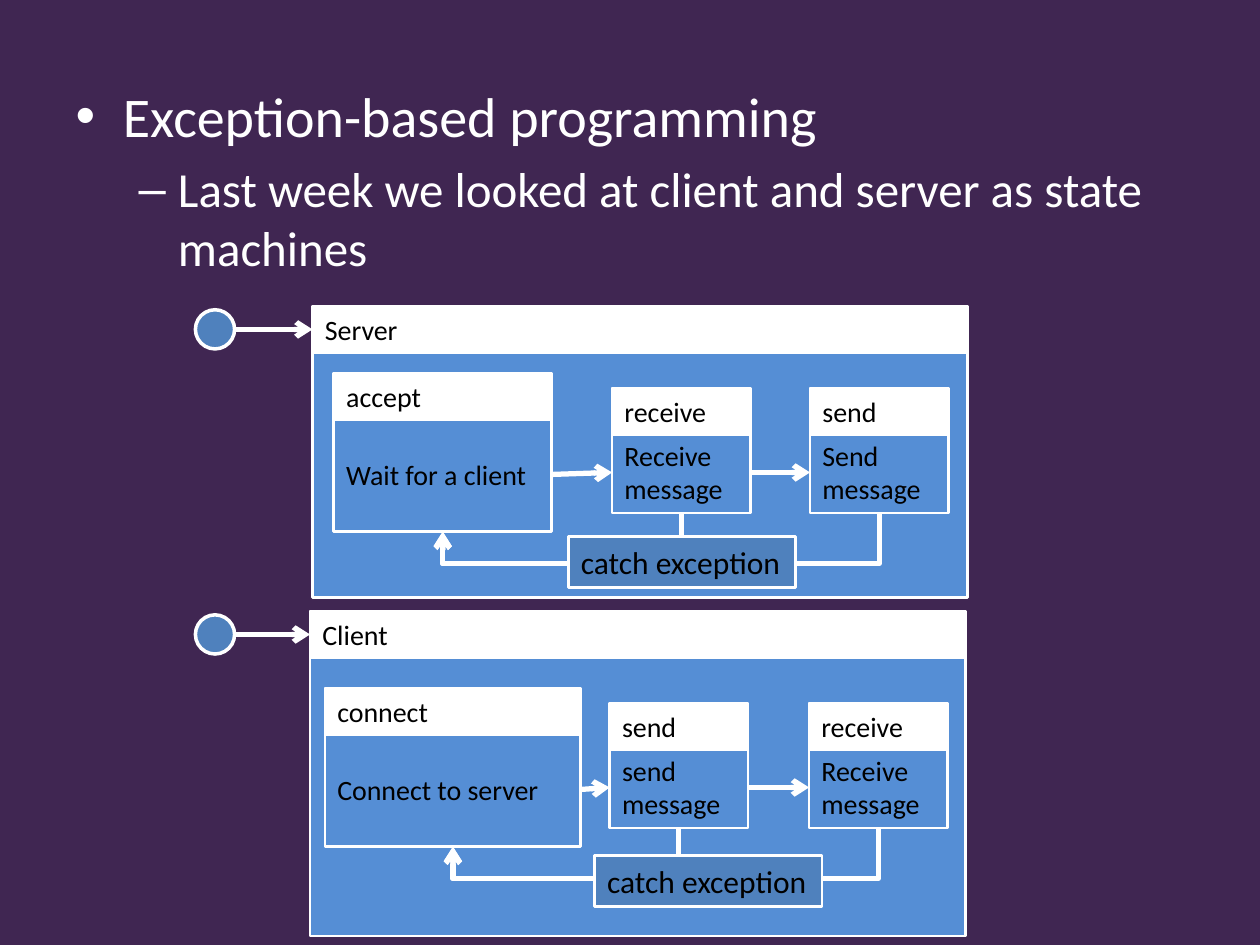
import pptx
import pptx.dml.color
import pptx.enum.shapes
import pptx.enum.text
import pptx.oxml
import pptx.oxml.ns
import pptx.util
from pptx.util import Cm, Pt

RGBColor = pptx.dml.color.RGBColor
SHAPE = pptx.enum.shapes.MSO_SHAPE
CONNECTOR = pptx.enum.shapes.MSO_CONNECTOR
ANCHOR = pptx.enum.text.MSO_ANCHOR
ALIGN = pptx.enum.text.PP_ALIGN

PURPLE = RGBColor(0x40, 0x26, 0x52)
WHITE = RGBColor(0xFF, 0xFF, 0xFF)
BLACK = RGBColor(0x00, 0x00, 0x00)
LIGHT_BLUE = RGBColor(0x55, 0x8E, 0xD5)
BLUE = RGBColor(0x4F, 0x81, 0xBD)

HEADER = 0.94      # height of a name bar
OVERLAP = 0.05     # how far a state's body reaches under its name bar
DOT = 0.79         # diameter of a start dot
DOT_LEFT = 3.94
RAIL_DROP = 0.64   # distance of the return line below the first state


class StateDiagram:
    """Holds the style and the current slide; all lengths are in cm."""

    font = "Calibri"

    def __init__(self, slide):
        self.slide = slide
        slide.background.fill.solid()
        slide.background.fill.fore_color.rgb = PURPLE

    def style(self, paragraph, size, color):
        """Set the font of a whole paragraph."""
        paragraph.font.name = self.font
        paragraph.font.size = Pt(size)
        paragraph.font.color.rgb = color

    def bullets(self, items, left, top, width, height):
        """Fill the body placeholder with (level, size, text) items."""
        body = self.slide.placeholders[1]
        body.left, body.top = Cm(left), Cm(top)
        body.width, body.height = Cm(width), Cm(height)
        frame = body.text_frame
        for index, (level, size, text) in enumerate(items):
            paragraph = frame.add_paragraph() if index else frame.paragraphs[0]
            paragraph.text, paragraph.level = text, level
            self.style(paragraph, size, WHITE)

    def box(self, left, top, width, height, fill, lines=(), size=16,
            anchor=ANCHOR.MIDDLE, wrap=True, kind=SHAPE.RECTANGLE, weight=1.5):
        """Draw an outlined shape with left-aligned lines of text."""
        shape = self.slide.shapes.add_shape(
            kind, Cm(left), Cm(top), Cm(width), Cm(height))
        shape.shadow.inherit = False
        shape.fill.solid()
        shape.fill.fore_color.rgb = fill
        shape.line.color.rgb = WHITE
        shape.line.width = Pt(weight)
        frame = shape.text_frame
        frame.word_wrap, frame.vertical_anchor = wrap, anchor
        for index, text in enumerate(lines):
            paragraph = frame.add_paragraph() if index else frame.paragraphs[0]
            paragraph.text, paragraph.alignment = text, ALIGN.LEFT
            self.style(paragraph, size, BLACK)

    def arrow(self, x1, y1, x2, y2, kind=CONNECTOR.STRAIGHT):
        """Draw a white line with an open arrowhead at its end."""
        line = self.slide.shapes.add_connector(
            kind, Cm(x1), Cm(y1), Cm(x2), Cm(y2))
        line.line.color.rgb = WHITE
        line.line.width = Pt(3)
        ns = pptx.oxml.ns.nsdecls("a")
        line.line._get_or_add_ln().append(
            pptx.oxml.parse_xml(f'<a:tailEnd {ns} type="arrow"/>'))
        properties = line._element.spPr
        properties.append(pptx.oxml.parse_xml(f"<a:effectLst {ns}/>"))
        return properties

    def return_arrow(self, x1, y1, x2, y2, rail):
        """Draw an elbow that drops to the rail, runs left and turns up."""
        drop, run = y2 - y1, x1 - x2
        center_x, center_y = (x1 + x2) / 2, (y1 + y2) / 2
        properties = self.arrow(
            center_x - drop / 2, center_y - run / 2,
            center_x + drop / 2, center_y + run / 2, CONNECTOR.ELBOW)
        properties.find(pptx.oxml.ns.qn("a:xfrm")).set("rot", "5400000")
        geometry = properties.find(pptx.oxml.ns.qn("a:prstGeom"))
        for old in list(geometry):
            geometry.remove(old)
        bend = round((rail - y1) / drop * 100000)
        geometry.append(pptx.oxml.parse_xml(
            f'<a:avLst {pptx.oxml.ns.nsdecls("a")}>'
            f'<a:gd name="adj1" fmla="val {bend}"/></a:avLst>'))

    def state(self, left, top, width, height, name, lines):
        """Draw a state and return its left, right, bottom and middle."""
        body_top = top + HEADER - OVERLAP
        anchor = ANCHOR.MIDDLE if len(lines) == 1 else ANCHOR.TOP
        self.box(left, body_top, width, height, LIGHT_BLUE, lines, anchor=anchor)
        self.box(left, top, width, HEADER, WHITE, [name], anchor=ANCHOR.TOP)
        return left, left + width, body_top + height, body_top + height / 2

    def machine(self, name, left, top, height, states, catch):
        """Draw a state machine with its start dot and exception path."""
        width, middle = 13.21, top + HEADER / 2
        self.box(left, top + 0.83, width, height, LIGHT_BLUE)
        self.box(left, top, width, HEADER, WHITE, [name])
        self.box(DOT_LEFT, middle - DOT / 2, DOT, DOT, BLUE,
                 kind=SHAPE.OVAL, weight=2)
        self.arrow(DOT_LEFT + DOT, middle, left, middle)

        placed = [self.state(*state) for state in states]
        home_left, home_right, home_bottom, _ = placed[0]
        home = (home_left + home_right) / 2
        for before, after in zip(placed, placed[1:]):
            self.arrow(before[1], before[3], after[0], after[3])
            self.return_arrow((after[0] + after[1]) / 2, after[2],
                              home, home_bottom, home_bottom + RAIL_DROP)
        self.box(*catch, 4.58, 1.02, BLUE, ["catch exception"], 18,
                 ANCHOR.TOP, wrap=False)


def main():
    """Build the slide and save it."""
    deck = pptx.Presentation()
    deck.slide_width, deck.slide_height = Cm(25.4), Cm(19.05)
    slide = deck.slides.add_slide(deck.slide_layouts[1])
    title = slide.shapes.title._element
    title.getparent().remove(title)

    diagram = StateDiagram(slide)
    diagram.bullets([
        (0, 32, "Exception-based programming"),
        (1, 28, "Last week we looked at client and server as state machines"),
    ], 1.27, 1.52, 22.86, 16.99)
    diagram.machine("Server", 6.3, 6.17, 5.05, [
        (6.73, 7.52, 4.39, 2.31, "accept", ["Wait for a client"]),
        (12.34, 7.82, 2.79, 1.63, "receive", ["Receive", "message"]),
        (16.33, 7.82, 2.79, 1.63, "send", ["Send", "message"]),
    ], (11.46, 10.82))
    diagram.machine("Client", 6.25, 12.32, 5.72, [
        (6.55, 13.87, 5.16, 2.31, "connect", ["Connect to server"]),
        (12.29, 14.17, 2.79, 1.63, "send", ["send", "message"]),
        (16.31, 14.17, 2.79, 1.63, "receive", ["Receive", "message"]),
    ], (11.99, 17.25))
    deck.save("out.pptx")


main()
